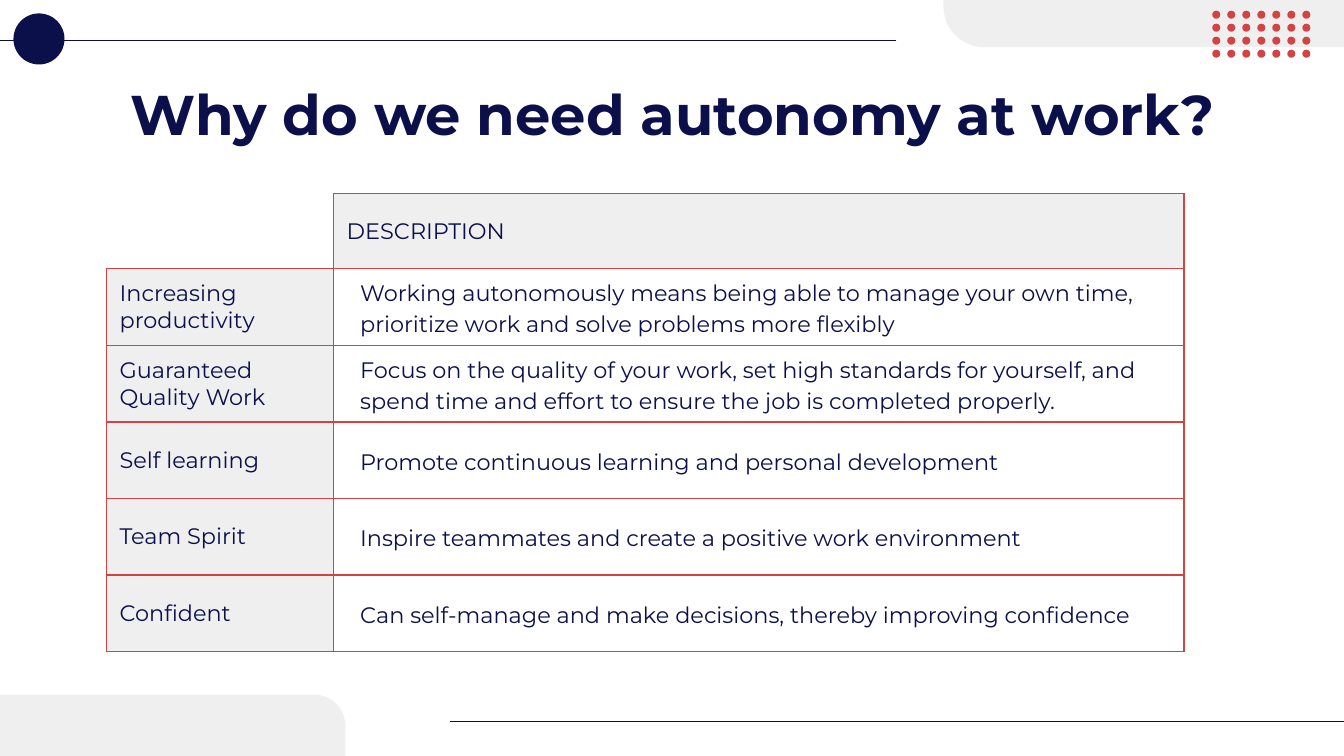
"""Build the slide on autonomy at work."""
import pptx
import pptx.dml.color
import pptx.enum.shapes
import pptx.enum.text
import pptx.oxml
import pptx.oxml.ns
import pptx.util
from pptx.util import Inches

COLORS = {"navy": "0B104B", "red": "D44343", "gray": "EFEFEF"}
FONT = "Montserrat"
SHAPES = pptx.enum.shapes.MSO_SHAPE
ROWS = [
    ("", "DESCRIPTION"),
    ("Increasing productivity",
     "Working autonomously means being able to manage your own time, "
     "prioritize work and solve problems more flexibly"),
    ("Guaranteed Quality Work",
     "Focus on the quality of your work, set high standards for yourself, "
     "and spend time and effort to ensure the job is completed properly."),
    ("Self learning", "Promote continuous learning and personal development"),
    ("Team Spirit", "Inspire teammates and create a positive work environment"),
    ("Confident",
     "Can self-manage and make decisions, thereby improving confidence"),
]


def rgb(name):
    return pptx.dml.color.RGBColor.from_string(COLORS[name])


def set_font(paragraph, size, bold=False):
    paragraph.font.name = FONT
    paragraph.font.size = pptx.util.Pt(size)
    paragraph.font.bold = bold
    paragraph.font.color.rgb = rgb("navy")


def add_shape(page, kind, color, left, top, width, height):
    shape = page.shapes.add_shape(
        kind, Inches(left), Inches(top), Inches(width), Inches(height))
    shape.shadow.inherit = False
    shape.fill.solid()
    shape.fill.fore_color.rgb = rgb(color)
    shape.line.fill.background()
    return shape


def add_rule(page, start, end, y):
    rule = page.shapes.add_connector(
        pptx.enum.shapes.MSO_CONNECTOR.STRAIGHT,
        Inches(start), Inches(y), Inches(end), Inches(y))
    rule.line.color.rgb = rgb("navy")
    rule.line.width = pptx.util.Pt(0.75)
    properties = rule._element.spPr
    properties.append(pptx.oxml.parse_xml(
        f'<a:effectLst {pptx.oxml.ns.nsdecls("a")}/>'))


def add_corner_panel(page, left, top, width, height, rotation=0):
    panel = add_shape(page, SHAPES.ROUND_1_RECTANGLE, "gray",
                      left, top, width, height)
    panel.adjustments[0] = 0.5
    panel.rotation = rotation


def add_dot_grid(page, columns=7, rows=4):
    for row in range(rows):
        for column in range(columns):
            add_shape(page, SHAPES.OVAL, "red",
                      9.02 + column * 0.67 / (columns - 1),
                      0.08 + row * 0.29 / (rows - 1), 0.06, 0.06)


def set_title(page, text):
    title = page.shapes.title
    title.left, title.top = Inches(0.79), Inches(0.49)
    title.width, title.height = Inches(8.43), Inches(0.63)
    frame = title.text_frame
    frame.text = text
    frame.word_wrap = True
    frame.auto_size = pptx.enum.text.MSO_AUTO_SIZE.NONE
    frame.vertical_anchor = pptx.enum.text.MSO_ANCHOR.TOP
    frame.margin_left = frame.margin_right = Inches(0.1)
    frame.margin_top = frame.margin_bottom = Inches(0.1)
    paragraph = frame.paragraphs[0]
    paragraph.alignment = pptx.enum.text.PP_ALIGN.CENTER
    set_font(paragraph, 30, bold=True)


def set_borders(cell, sides):
    properties = cell._tc.get_or_add_tcPr()
    for side in sides:
        properties.append(pptx.oxml.parse_xml(
            f'<a:ln{side} {pptx.oxml.ns.nsdecls("a")} w="9525"><a:solidFill>'
            f'<a:srgbClr val="{COLORS["red"]}"/></a:solidFill></a:ln{side}>'))


def format_cell(cell, text, row, column):
    is_corner = row == 0 and column == 0
    is_description = row > 0 and column == 1
    set_borders(cell, "RB" if is_corner else "LRTB")
    if is_corner or is_description:
        cell.fill.background()
    else:
        cell.fill.solid()
        cell.fill.fore_color.rgb = rgb("gray")
    cell.text = text
    cell.vertical_anchor = pptx.enum.text.MSO_ANCHOR.MIDDLE
    cell.margin_left = Inches(0.2 if is_description else 0.1)
    cell.margin_right = Inches(0 if is_description else 0.1)
    cell.margin_top = cell.margin_bottom = Inches(0.07 if row == 0 else 0)
    paragraph = cell.text_frame.paragraphs[0]
    set_font(paragraph, 12)
    if is_description:
        paragraph.line_spacing = 1.15


def add_benefits_table(page):
    table = page.shapes.add_table(
        len(ROWS), 2, Inches(0.79), Inches(1.44),
        Inches(8.02), Inches(3.41)).table
    table.first_row = table.horz_banding = False
    for column, width in zip(table.columns, (1.69, 6.33)):
        column.width = Inches(width)
    for row, texts in enumerate(ROWS):
        table.rows[row].height = Inches(0.56 if row == 0 else 0.57)
        for column, text in enumerate(texts):
            format_cell(table.cell(row, column), text, row, column)


def main():
    deck = pptx.Presentation()
    deck.slide_width = Inches(10)
    deck.slide_height = deck.slide_width * 9 // 16
    page = deck.slides.add_slide(deck.slide_layouts[5])
    add_rule(page, 10.01, 3.35, 5.37)
    add_rule(page, 6.67, 0, 0.3)
    add_shape(page, SHAPES.OVAL, "navy", 0.1, 0.1, 0.38, 0.38)
    add_corner_panel(page, 7.02, -0.25, 3.06, 0.6, rotation=180)
    add_corner_panel(page, 0, 5.17, 2.57, 0.46)
    add_dot_grid(page)
    set_title(page, "Why do we need autonomy at work?")
    add_benefits_table(page)
    deck.save("out.pptx")


if __name__ == "__main__":
    main()
